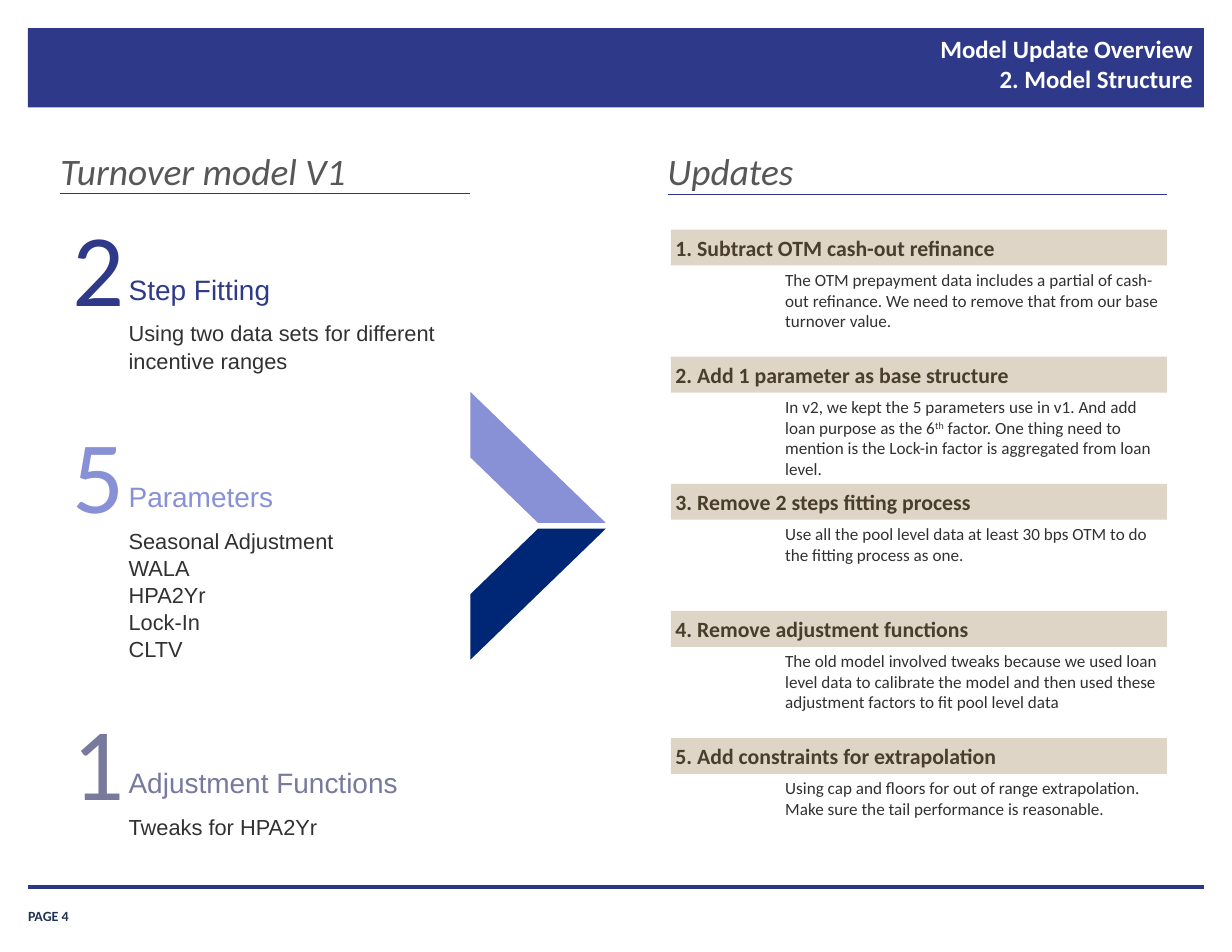
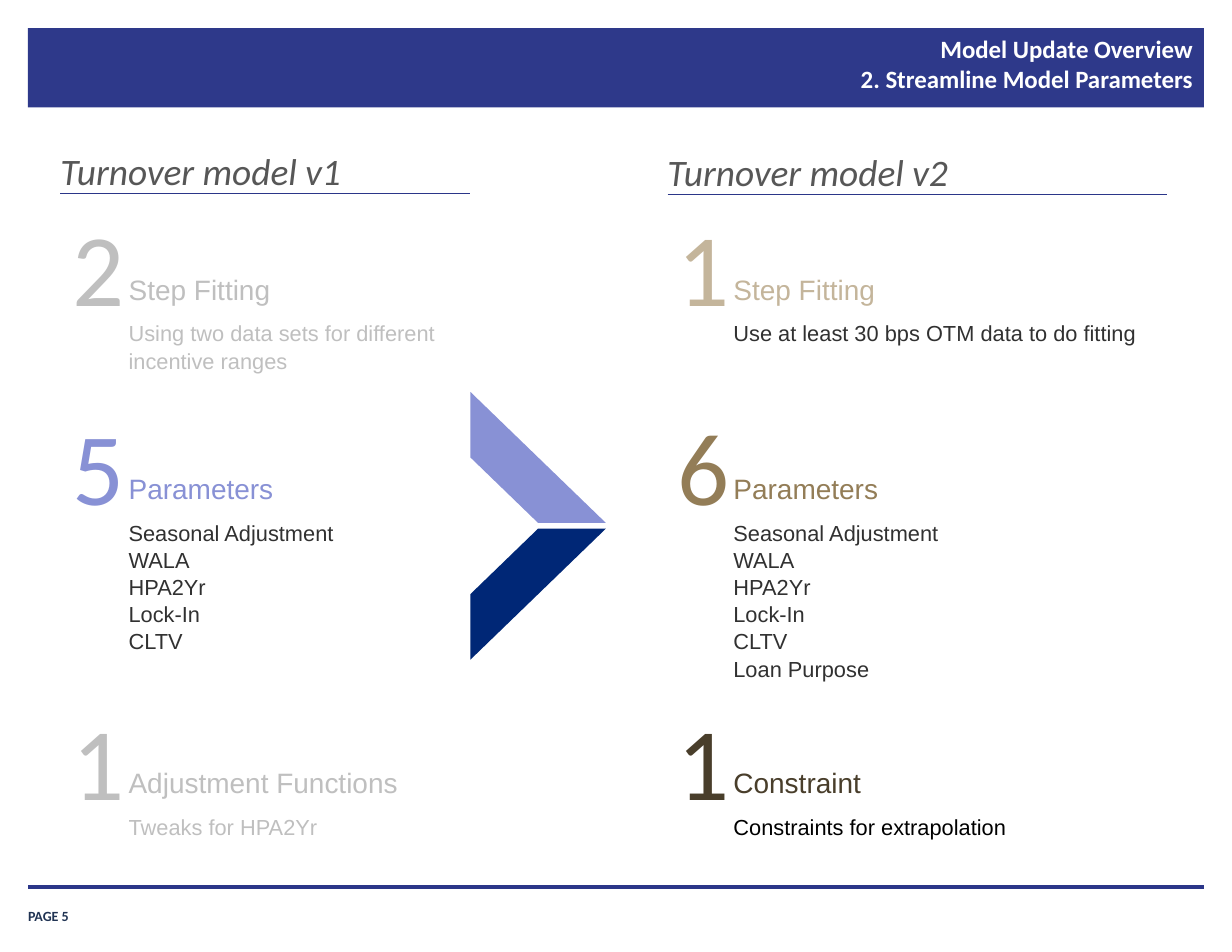
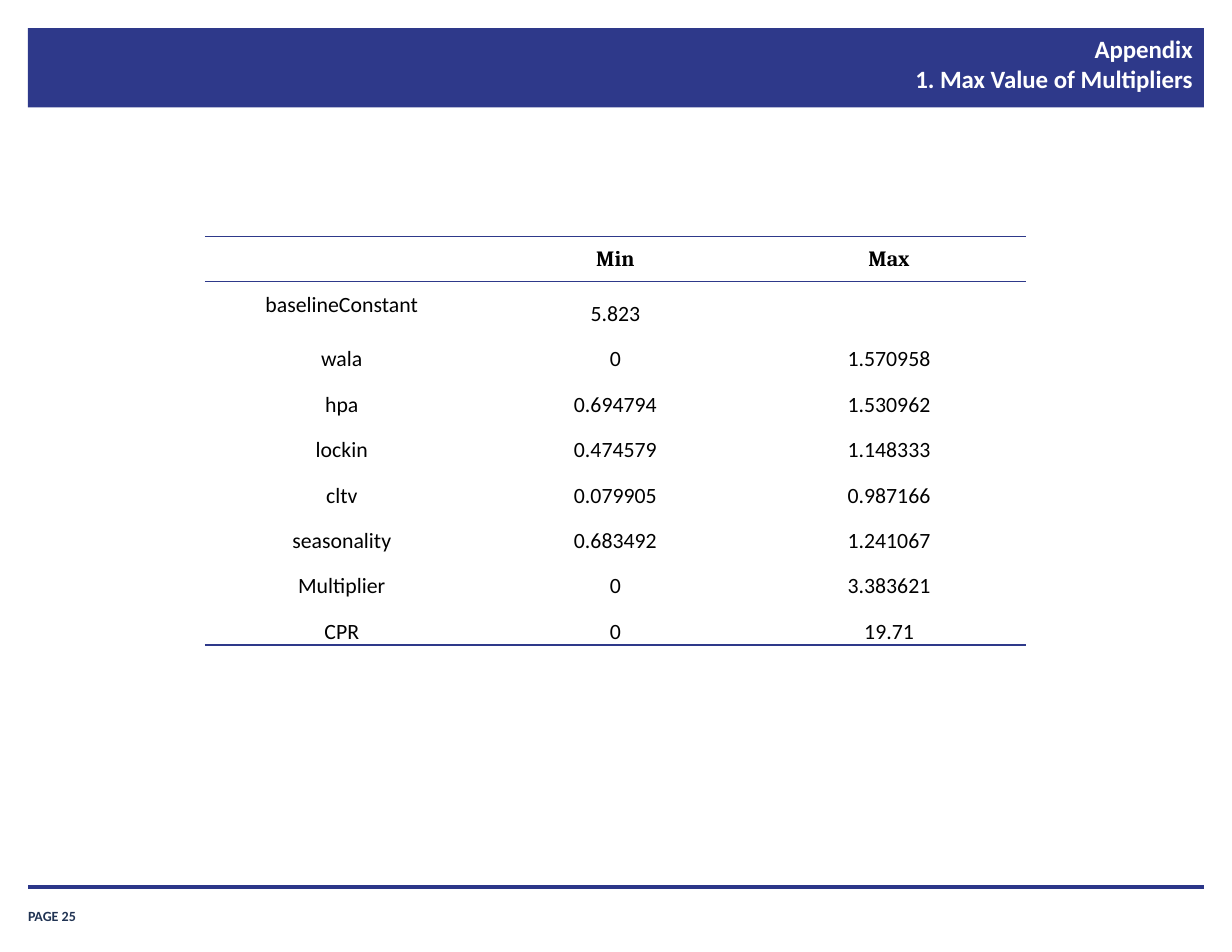
from math import ceil

from lxml import etree
from pptx import Presentation
from pptx.dml.color import RGBColor
from pptx.enum.shapes import MSO_CONNECTOR, MSO_SHAPE
from pptx.enum.text import MSO_ANCHOR, MSO_AUTO_SIZE, PP_ALIGN
from pptx.oxml.ns import qn
from pptx.util import Inches, Pt

LEFT, CENTER, RIGHT = PP_ALIGN.LEFT, PP_ALIGN.CENTER, PP_ALIGN.RIGHT
TOP, MIDDLE, BOTTOM = MSO_ANCHOR.TOP, MSO_ANCHOR.MIDDLE, MSO_ANCHOR.BOTTOM
RECT, STRIPE = MSO_SHAPE.RECTANGLE, MSO_SHAPE.DIAGONAL_STRIPE
STRAIGHT = MSO_CONNECTOR.STRAIGHT
FIT, FIXED = MSO_AUTO_SIZE.SHAPE_TO_FIT_TEXT, MSO_AUTO_SIZE.NONE
NO_STYLE = "{2D5ABB26-0587-4C30-8999-92F81FD0307C}"

WIDTH, HEIGHT = Inches(11), Inches(8.5)
COLS, ROWS = 44, 34

COLORS = {
    "band": "2E398A", "rule": "2B3689", "page": "203353", "white": "FFFFFF",
    "heading": "575757", "body": "313131", "black": "000000", "faded": "BFBFBF",
    "navy": "002776", "periwinkle": "8891D5", "slate": "77799D",
    "cream": "DED5C7", "sand": "C4B59B", "bronze": "937D57", "brown": "493E2B",
}

LEFT_COL, RIGHT_COL = 2.6, 24.2
FIRST, LAST = 7.28, 24.92
PARAMETERS = ["Seasonal Adjustment", "WALA", "HPA2Yr", "Lock-In", "CLTV"]
TWO_STEPS = ["Using two data sets for different incentive ranges"]
TWEAKS = ["Tweaks for HPA2Yr"]

UPDATES = [
    ("1. Subtract OTM cash-out refinance",
     ("The OTM prepayment data includes a partial of cash-out refinance. "
      "We need to remove that from our base turnover value.",)),
    ("2. Add 1 parameter as base structure",
     ("In v2, we kept the 5 parameters use in v1. And add loan purpose as the 6",
      "th",
      " factor. One thing need to mention is the Lock-in factor is aggregated "
      "from loan level.")),
    ("3. Remove 2 steps fitting process",
     ("Use all the pool level data at least 30 bps OTM to do the fitting "
      "process as one.",)),
    ("4. Remove adjustment functions",
     ("The old model involved tweaks because we used loan level data to "
      "calibrate the model and then used these adjustment factors to fit pool "
      "level data",)),
    ("5. Add constraints for extrapolation",
     ("Using cap and floors for out of range extrapolation. Make sure the tail "
      "performance is reasonable.",)),
]

MULTIPLIERS = [
    ("", "Min", "Max"),
    ("baselineConstant", "5.823", ""),
    ("wala", "0", "1.570958"),
    ("hpa", "0.694794", "1.530962"),
    ("lockin", "0.474579", "1.148333"),
    ("cltv", "0.079905", "0.987166"),
    ("seasonality", "0.683492", "1.241067"),
    ("Multiplier", "0", "3.383621"),
    ("CPR", "0", "19.71"),
]


def color(name):
    return RGBColor.from_string(COLORS[name])


def grid(x, y, w, h):
    """Turn columns and rows into lengths on the slide."""
    return (int(x * WIDTH / COLS), int(y * HEIGHT / ROWS),
            int(w * WIDTH / COLS), int(h * HEIGHT / ROWS))


def line_count(texts, per_line):
    return sum(ceil(len(text) / per_line) for text in texts)


class Deck:
    """Holds the shared style and the slide being built."""

    def __init__(self):
        self.prs = Presentation()
        self.prs.slide_width, self.prs.slide_height = WIDTH, HEIGHT
        self.s = None

    def new_slide(self, title_lines, page):
        self.s = self.prs.slides.add_slide(self.prs.slide_layouts[5])
        self.shape(RECT, (1, 1, 42, 2.84), "band")
        self.line(1, 31.68, 42, 2)
        self.text((1, 32.08, 3.64, 0.92), [f"PAGE {page}"], 9, "page",
                  bold=True, anchor=BOTTOM)
        title = self.s.shapes.title
        title.left, title.top, title.width, title.height = grid(
            13.28, 0.96, 29.76, 2.96)
        self.s.shapes._spTree.append(title._element)
        tf = title.text_frame
        self.frame(tf, (0.11, 0.06), TOP, FIXED)
        p = tf.paragraphs[0]
        p.alignment = RIGHT
        for i, text in enumerate(title_lines):
            if i:
                p.add_line_break()
            self.run(p, text, 16, "white", bold=True)

    def frame(self, tf, insets, anchor, auto_size):
        tf.word_wrap = True
        tf.auto_size = auto_size
        tf.vertical_anchor = anchor
        tf.margin_left = tf.margin_right = Inches(insets[0])
        tf.margin_top = tf.margin_bottom = Inches(insets[1])

    def run(self, p, text, size, name, font="Calibri", bold=False, italic=False):
        r = p.add_run()
        r.text = text
        r.font.name, r.font.size = font, Pt(size)
        r.font.bold, r.font.italic = bold, italic
        r.font.color.rgb = color(name)
        return r

    def shape(self, kind, box, fill):
        sp = self.s.shapes.add_shape(kind, *grid(*box))
        sp.shadow.inherit = False
        sp.fill.solid()
        sp.fill.fore_color.rgb = color(fill)
        sp.line.fill.background()
        return sp

    def line(self, x, y, w, weight):
        left, top, width, _ = grid(x, y, w, 0)
        line = self.s.shapes.add_connector(STRAIGHT, left, top, left + width, top)
        line.line.color.rgb = color("rule")
        line.line.width = Pt(weight)
        etree.SubElement(line._element.spPr, qn("a:effectLst"))

    def text(self, box, paragraphs, size, name, insets=(0, 0), anchor=TOP,
             align=LEFT, indent=0, spacing=None, **font):
        """Add a text box; in a tuple of runs every second one is superscript."""
        sp = self.s.shapes.add_textbox(*grid(*box))
        tf = sp.text_frame
        self.frame(tf, insets, anchor, FIXED if anchor == BOTTOM else FIT)
        for i, runs in enumerate(paragraphs):
            p = tf.add_paragraph() if i else tf.paragraphs[0]
            p.alignment = align
            if spacing:
                p.line_spacing = spacing
            if indent:
                p._p.get_or_add_pPr().set("marL", str(Inches(indent)))
            for j, text in enumerate((runs,) if isinstance(runs, str) else runs):
                r = self.run(p, text, size, name, **font)
                if j % 2:
                    r.font._element.set("baseline", "30000")
        return sp

    def heading(self, x, text, line_width, y=5.28, line_y=6.96):
        self.text((x, y, 22.24, 1.6), [text], 24, "heading", italic=True)
        self.line(x, line_y, line_width, 0.75)

    def headings(self, left, right, right_y=5.28):
        self.heading(2.16, left, 14.64, line_y=6.92)
        self.heading(23.84, right, 17.84, y=right_y)

    def feature(self, x, y, number, label, details, name, body="body", width=11.84):
        """Group a large number with its label and details."""
        label_width = 11.84 if len(label) > 12 else 7.92
        height = 0.4 + 0.94 * line_count(details, 45)
        inset = (0.1, 0.05)
        self.s.shapes.add_group_shape([
            self.text((x, y, 1.6, 4.44), [number], 66, name, align=CENTER),
            self.text((x + 1.6, y + 2.24, label_width, 1.6), [label], 18, name,
                      inset, font="Arial"),
            self.text((x + 1.6, y + 3.92, width, height), details, 14, body,
                      inset, font="Arial", spacing=1.04),
        ])

    def chevron(self):
        lower = self.shape(STRIPE, (16.8, 18.88, 4.84, 4.68), "navy")
        upper = self.shape(STRIPE, (16.8, 14, 4.84, 4.68), "periwinkle")
        upper._element.spPr.find(qn("a:xfrm")).set("flipV", "1")
        self.s.shapes.add_group_shape([lower, upper])

    def update(self, y, label, note):
        bar = self.shape(RECT, (23.96, y, 17.72, 1.28), "cream")
        self.frame(bar.text_frame, (0.04, 0.04), MIDDLE, FIT)
        p = bar.text_frame.paragraphs[0]
        p.alignment = LEFT
        self.run(p, label, 14, "brown", bold=True)
        height = 0.32 + 0.74 * line_count(["".join(note)], 52)
        self.text((25.88, y + 1.26, 15.8, height), [note], 11, "body",
                  (0.04, 0.04), indent=0.5)

    def border(self, cell, side):
        ln = etree.Element(qn(f"a:{side}"), w=str(Pt(1)))
        fill = etree.SubElement(ln, qn("a:solidFill"))
        etree.SubElement(fill, qn("a:srgbClr"), val=COLORS["band"])
        return ln

    def table(self, box, rows):
        frame = self.s.shapes.add_table(len(rows), len(rows[0]), *grid(*box))
        table = frame.table
        table.horz_banding = False
        table._tbl.tblPr.find(qn("a:tableStyleId")).text = NO_STYLE
        for i, row in enumerate(rows):
            sides = {0: ("lnT", "lnB"), len(rows) - 1: ("lnB",)}.get(i, ())
            for j, text in enumerate(row):
                cell = table.cell(i, j)
                cell.fill.background()
                cell.margin_left = cell.margin_right = Inches(0.01)
                cell.margin_top, cell.margin_bottom = Inches(0.01), 0
                cell.vertical_anchor = MIDDLE if i == 0 or (i, j) == (1, 0) else BOTTOM
                for k, side in enumerate(sides):
                    cell._tc.tcPr.insert(k, self.border(cell, side))
                p = cell.text_frame.paragraphs[0]
                p.alignment = CENTER
                if text:
                    self.run(p, text, 14, "black", bold=i == 0,
                             font="Calibri" if i else "Cambria")


def main():
    deck = Deck()

    deck.new_slide(["Model Update Overview", "2. Model Structure"], 4)
    deck.headings("Turnover model V1", "Updates")
    deck.feature(LEFT_COL, FIRST, "2", "Step Fitting", TWO_STEPS, "band")
    deck.feature(LEFT_COL, 14.68, "5", "Parameters", PARAMETERS, "periwinkle")
    deck.feature(LEFT_COL, LAST, "1", "Adjustment Functions", TWEAKS, "slate")
    deck.chevron()
    for i, (label, note) in enumerate(UPDATES):
        deck.update(8.2 + 4.54 * i, label, note)

    deck.new_slide(["Model Update Overview", "2. Streamline Model Parameters"], 5)
    deck.headings("Turnover model v1", "Turnover model v2", right_y=5.32)
    deck.chevron()
    deck.feature(LEFT_COL, FIRST, "2", "Step Fitting", TWO_STEPS, "faded", "faded")
    deck.feature(LEFT_COL, 14.4, "5", "Parameters", PARAMETERS, "periwinkle")
    deck.feature(LEFT_COL, LAST, "1", "Adjustment Functions", TWEAKS, "faded", "faded")
    deck.feature(RIGHT_COL, FIRST, "1", "Step Fitting",
                 ["Use at least 30 bps OTM data to do fitting"], "sand", width=15.88)
    deck.feature(RIGHT_COL, 14.4, "6", "Parameters",
                 PARAMETERS + ["Loan Purpose"], "bronze")
    deck.feature(RIGHT_COL, LAST, "1", "Constraint",
                 ["Constraints for extrapolation"], "brown", "black")

    deck.new_slide(["Appendix", "1. Max Value of Multipliers"], 25)
    deck.table((7.32, 8.44, 29.32, 14.6), MULTIPLIERS)

    deck.prs.save("out.pptx")


if __name__ == "__main__":
    main()
